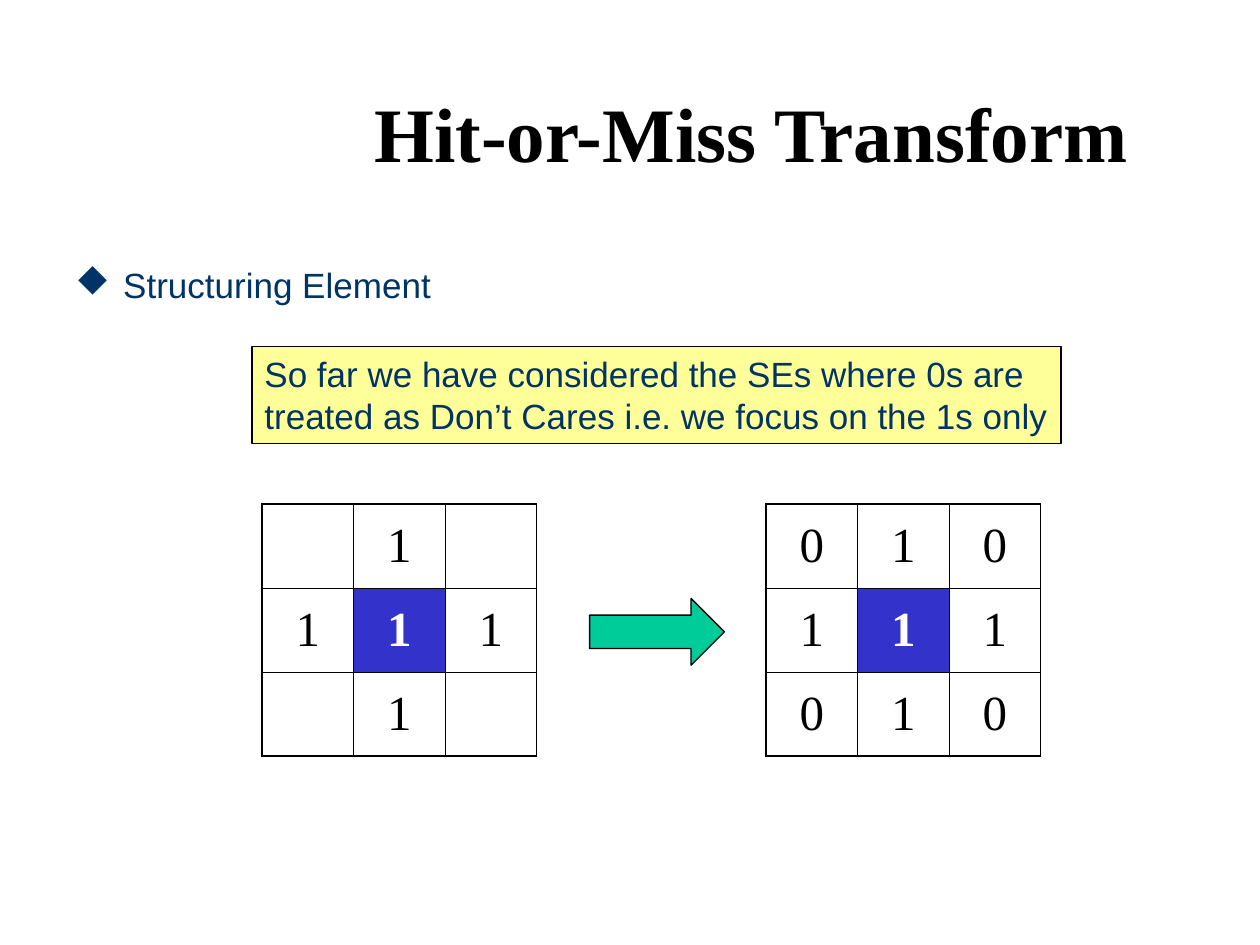
import pptx
import pptx.util
import pptx.dml.color
import pptx.enum.shapes
import pptx.enum.text
import pptx.oxml
import pptx.oxml.ns

Inches, Pt = pptx.util.Inches, pptx.util.Pt
PP_ALIGN, ANCHOR = pptx.enum.text.PP_ALIGN, pptx.enum.text.MSO_ANCHOR
SHAPE = pptx.enum.shapes.MSO_SHAPE
NS = pptx.oxml.ns.nsdecls("a")

COLORS = {"black": "000000", "white": "FFFFFF", "navy": "003366",
          "note": "FFFF99", "origin": "3333CC", "arrow": "00CC99"}
SERIF, SANS = "Times New Roman", "Arial"
OUTER, INNER = 1.08, 0.45


def rgb(name):
    return pptx.dml.color.RGBColor.from_string(COLORS[name])


def add_run(p, text, size, font, color, bold=False):
    r = p.add_run()
    r.text = text
    r.font.size, r.font.name, r.font.bold = Pt(size), font, bold
    r.font.color.rgb = rgb(color)


def add_text_box(slide, box):
    tf = slide.shapes.add_textbox(*map(Inches, box)).text_frame
    tf.word_wrap = True
    return tf


def add_filled_shape(slide, kind, box, fill):
    sp = slide.shapes.add_shape(kind, *map(Inches, box))
    sp.shadow.inherit = False
    sp.fill.solid()
    sp.fill.fore_color.rgb = rgb(fill)
    sp.line.color.rgb = rgb("black")
    sp.line.width = Pt(0.75)
    return sp


def add_title(slide, box):
    tf = add_text_box(slide, box)
    tf.vertical_anchor = ANCHOR.MIDDLE
    p = tf.paragraphs[0]
    p.alignment = PP_ALIGN.CENTER
    add_run(p, "Hit-or-Miss Transform", 44, SERIF, "black", True)


def add_bullet(slide, box):
    p = add_text_box(slide, box).paragraphs[0]
    p.line_spacing, p.space_before = 0.9, Pt(5)
    pPr = p._p.get_or_add_pPr()
    pPr.set("marL", str(Inches(0.38)))
    pPr.set("indent", str(Inches(-0.38)))
    # In Wingdings the letter u is a solid diamond.
    for xml in (f'<a:buClr {NS}><a:srgbClr val="{COLORS["navy"]}"/></a:buClr>',
                f'<a:buFont {NS} typeface="Wingdings" charset="2"/>',
                f'<a:buChar {NS} char="u"/>'):
        pPr.append(pptx.oxml.parse_xml(xml))
    add_run(p, "Structuring Element", 20, SANS, "navy")


def add_note(slide, box):
    tf = add_filled_shape(slide, SHAPE.RECTANGLE, box, "note").text_frame
    tf.word_wrap = True
    tf.vertical_anchor = ANCHOR.TOP
    p = tf.paragraphs[0]
    p.alignment = PP_ALIGN.LEFT
    add_run(p, "So far we have considered the SEs where 0s are treated as "
               "Don’t Cares i.e. we focus on the 1s only", 20, SANS, "navy")


def set_borders(cell, widths):
    """Widths in points, in the order left, right, top, bottom."""
    tcPr = cell._tc.get_or_add_tcPr()
    for i, (side, width) in enumerate(zip("LRTB", widths)):
        tcPr.insert(i, pptx.oxml.parse_xml(
            f'<a:ln{side} {NS} w="{Pt(width)}"><a:solidFill>'
            f'<a:srgbClr val="{COLORS["black"]}"/></a:solidFill></a:ln{side}>'))


def add_structuring_element(slide, box, rows):
    """A square mask, one string per row, with its origin cell highlighted."""
    n = len(rows)
    frame = slide.shapes.add_table(n, n, *map(Inches, box))
    table = frame.table
    table.first_row = table.horz_banding = False
    for i, row in enumerate(rows):
        for j, value in enumerate(row):
            cell = table.cell(i, j)
            is_origin = i == j == n // 2
            if is_origin:
                cell.fill.solid()
                cell.fill.fore_color.rgb = rgb("origin")
            else:
                cell.fill.background()
            set_borders(cell, [OUTER if edge else INNER for edge in
                               (j == 0, j == n - 1, i == 0, i == n - 1)])
            cell.vertical_anchor = ANCHOR.MIDDLE
            p = cell.text_frame.paragraphs[0]
            p.alignment, p.space_before = PP_ALIGN.CENTER, Pt(7)
            if value != " ":
                add_run(p, value, 28, SERIF,
                        "white" if is_origin else "black", is_origin)


def main():
    prs = pptx.Presentation()
    prs.slide_width, prs.slide_height = Inches(10), Inches(7.5)
    slide = prs.slides.add_slide(prs.slide_layouts[6])
    add_title(slide, (1.93, 0.42, 8.07, 1.25))
    add_bullet(slide, (0.5, 2.08, 9, 0.25))
    add_note(slide, (2, 2.75, 6.42, 0.77))
    add_structuring_element(slide, (6.08, 4, 2.18, 2), ["010", "111", "010"])
    add_structuring_element(slide, (2.08, 4, 2.18, 2), [" 1 ", "111", " 1 "])
    add_filled_shape(slide, SHAPE.RIGHT_ARROW, (4.68, 4.75, 1.07, 0.53), "arrow")
    prs.save("out.pptx")


if __name__ == "__main__":
    main()
